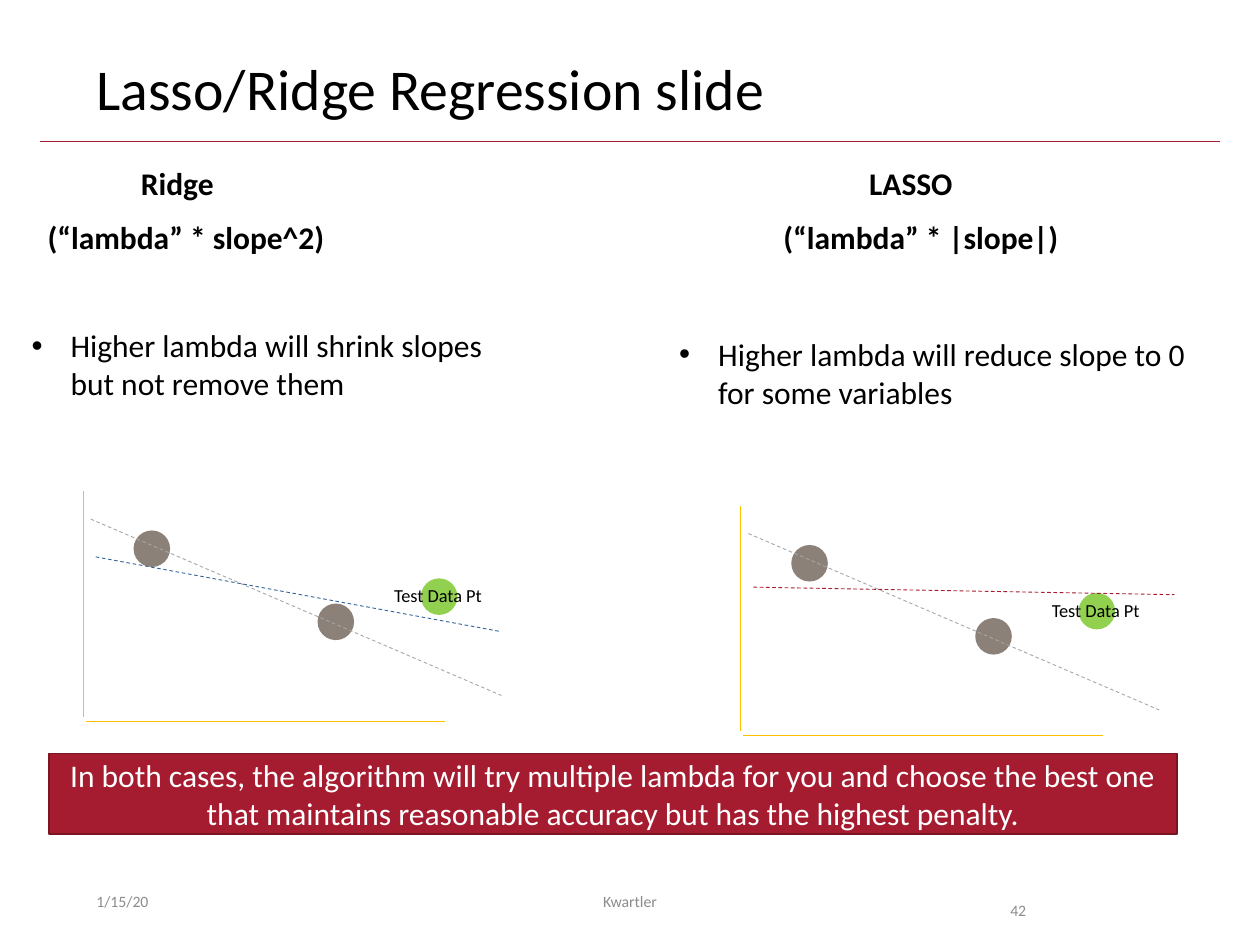
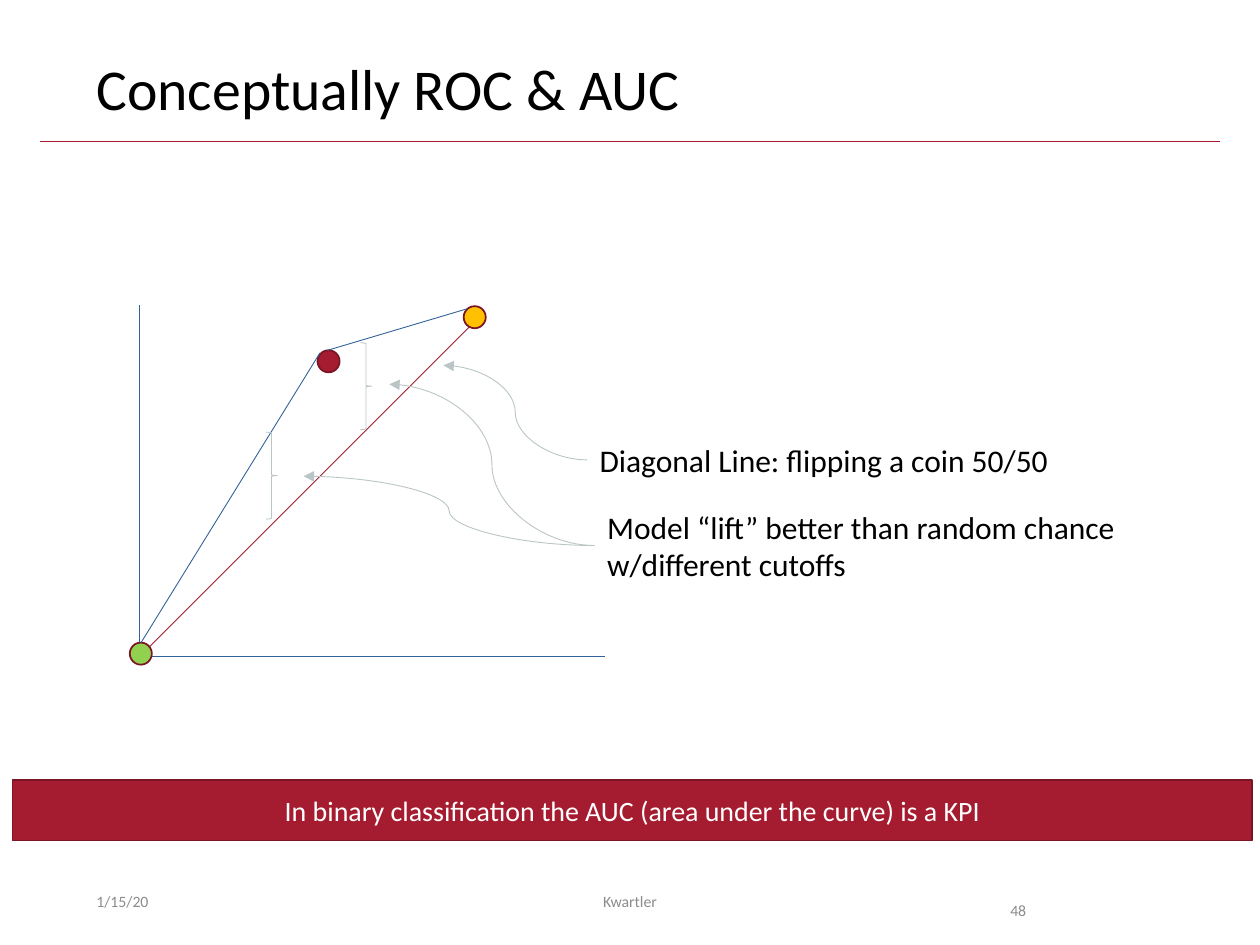
import dataclasses

import pptx
import pptx.dml.color
import pptx.enum.dml
import pptx.enum.shapes
import pptx.enum.text
import pptx.oxml.ns
import pptx.util
from lxml import etree


@dataclasses.dataclass(frozen=True)
class Theme:
    font: str = "Calibri"
    ink: str = "000000"
    paper: str = "FFFFFF"
    footer: str = "8C8C8C"
    crimson: str = "A51C30"
    crimson_edge: str = "7A1524"
    blue: str = "33629A"
    gold: str = "FFC000"
    green: str = "92D050"
    taupe: str = "8C8179"
    gray: str = "A6A6A6"
    mist: str = "BAC5C6"
    title_size: float = 33
    body_size: float = 18
    kpi_size: float = 16
    label_size: float = 10.5
    footer_size: float = 9
    hairline: float = 0.5
    outline: float = 1


theme = Theme()
SHAPE = pptx.enum.shapes.MSO_SHAPE
STRAIGHT = pptx.enum.shapes.MSO_CONNECTOR.STRAIGHT
CURVE = pptx.enum.shapes.MSO_CONNECTOR.CURVE
ALIGN = pptx.enum.text.PP_ALIGN
ANCHOR = pptx.enum.text.MSO_ANCHOR

deck = pptx.Presentation()
deck.slide_width = pptx.util.Inches(10)
deck.slide_height = pptx.util.Inches(7.5)
COLUMN = deck.slide_width / 100
ROW = deck.slide_height / 75


def grid(*cells):
    """Turn alternating column and row numbers into slide lengths."""
    return [round(cell * (ROW if i % 2 else COLUMN)) for i, cell in enumerate(cells)]


def write(shape, text, size=theme.body_size, color=theme.ink, bold=False, align=ALIGN.LEFT,
          anchor=ANCHOR.TOP, wrap=True, spacing=1.0, inset=1.0, hanging=0):
    frame = shape.text_frame
    frame.text = text
    frame.auto_size = pptx.enum.text.MSO_AUTO_SIZE.NONE
    frame.word_wrap = wrap
    frame.vertical_anchor = anchor
    frame.margin_left, frame.margin_top = grid(inset, inset / 2)
    frame.margin_right, frame.margin_bottom = frame.margin_left, frame.margin_top
    paragraph = frame.paragraphs[0]
    paragraph.alignment = align
    paragraph.line_spacing = spacing
    paragraph.space_before = pptx.util.Pt(0)
    if hanging:
        indent = grid(hanging)[0]
        properties = paragraph._p.get_or_add_pPr()
        properties.set("marL", str(indent))
        properties.set("indent", str(-indent))
    font = paragraph.runs[0].font
    font.name, font.size, font.bold = theme.font, pptx.util.Pt(size), bold
    font.color.rgb = pptx.dml.color.RGBColor.from_string(color)


strokes = []  # connector, colour, dashed, arrowhead
solids = []   # shape, fill, outline, outline width

# Shared parts: title, rule, footer and closing band
TWO_CONTENT, TITLE_ONLY = deck.slide_layouts[3], deck.slide_layouts[5]
slides = []
for layout, heading, number, message, message_size, band_at in [
    (TWO_CONTENT, "Lasso/Ridge Regression slide", "42",
     "In both cases, the algorithm will try multiple lambda for you and choose the best one "
     "that maintains reasonable accuracy but has the highest penalty.",
     theme.body_size, (3.9, 59.8, 89.5, 6.4)),
    (TITLE_ONLY, "Conceptually ROC & AUC", "48",
     "In binary classification the AUC (area under the curve) is a KPI",
     theme.kpi_size, (1, 61.9, 98.4, 4.8)),
]:
    slide = deck.slides.add_slide(layout)
    slides.append(slide)
    rule = slide.shapes.add_connector(STRAIGHT, *grid(3.2, 11.2, 96.8, 11.2))
    strokes.append((rule, theme.crimson, False, False))
    title = slide.shapes.title
    title.left, title.top, title.width, title.height = grid(6.9, 4, 86.2, 6.5)
    write(title, heading, size=theme.title_size, anchor=ANCHOR.MIDDLE, spacing=0.9, inset=0.75)

    for note, left, width, form in [
        ("1/15/20", 6.9, 22.5, dict(anchor=ANCHOR.MIDDLE, inset=0.75)),
        ("Kwartler", 33.1, 33.8, dict(anchor=ANCHOR.MIDDLE, align=ALIGN.CENTER)),
        (number, 79.2, 9.4, dict(spacing=2.0)),
    ]:
        footer = slide.shapes.add_textbox(*grid(left, 69.5, width, 4))
        write(footer, note, size=theme.footer_size, color=theme.footer, **form)

    band = slide.shapes.add_shape(SHAPE.RECTANGLE, *grid(*band_at))
    solids.append((band, theme.crimson, theme.crimson_edge, theme.outline))
    write(band, message, size=message_size, color=theme.paper, align=ALIGN.CENTER,
          anchor=ANCHOR.MIDDLE)

regression, roc = slides

# Ridge and LASSO: headings, lists and sketches of the fitted lines
effects = list(regression.placeholders)[1:]
for effect, (name, name_at, penalty, penalty_at, claim, claim_at, dx, dy, model, model_color) in zip(effects, [
    ("Ridge", (10.2, 12.5, 7.8, 4), "(“lambda” * slope^2)", (2.8, 16.8, 24.2, 4),
     "Higher lambda will shrink slopes but not remove them", (1.5, 25.4, 40, 7.1),
     0, 0, (7.6, 44.2, 39.6, 50.1), theme.blue),
    ("LASSO", (68, 12.5, 8.7, 4), "(“lambda” * |slope|)", (61.2, 16.8, 24, 4),
     "Higher lambda will reduce slope to 0 for some variables", (52.9, 26.1, 42.9, 7.1),
     52.2, 1.15, (59.8, 46.6, 93.2, 47.2), theme.crimson),
]):
    for wording, place in [(name, name_at), (penalty, penalty_at)]:
        write(regression.shapes.add_textbox(*grid(*place)), wording, bold=True, wrap=False)
    effect.left, effect.top, effect.width, effect.height = grid(*claim_at)
    write(effect, claim, hanging=3.1)

    sketch = regression.shapes.add_group_shape().shapes
    for x1, y1, x2, y2 in [(6.6, 39, 6.6, 56.9), (6.8, 57.25, 35.3, 57.25)]:
        axis = sketch.add_connector(STRAIGHT, *grid(x1 + dx, y1 + dy, x2 + dx, y2 + dy))
        strokes.append((axis, theme.gold, False, False))
    for x, y in [(10.6, 42.1), (25.2, 47.9)]:
        training_point = sketch.add_shape(SHAPE.OVAL, *grid(x + dx, y + dy, 2.9, 2.9))
        solids.append((training_point, theme.taupe, None, 0))
    plain_fit = sketch.add_connector(STRAIGHT, *grid(7.2 + dx, 41.2 + dy, 39.8 + dx, 55.2 + dy))
    strokes.append((plain_fit, theme.gray, True, False))
    test_point = sketch.add_shape(SHAPE.OVAL, *grid(33.4 + dx, 45.9 + dy, 2.9, 2.9))
    solids.append((test_point, theme.green, None, 0))
    test_label = sketch.add_textbox(*grid(30.3 + dx, 45.9 + dy, 9.3, 2.8))
    write(test_label, "Test Data Pt", size=theme.label_size, wrap=False)
    penalized_fit = sketch.add_connector(STRAIGHT, *grid(*model))
    strokes.append((penalized_fit, model_color, True, False))

# ROC curve: axes and coin-flip diagonal, cutoff points, then the model's segments
curve_plot = roc.shapes.add_group_shape().shapes
for ends, color in [
    ((11.1, 24.2, 11.1, 51.8), theme.blue),
    ((10.9, 52.1, 48, 52.1), theme.blue),
    ((11.1, 52.1, 37.6, 25.6), theme.crimson),
]:
    strokes.append((curve_plot.add_connector(STRAIGHT, *grid(*ends)), color, False, False))
for x, y, color in [(25.2, 27.8, theme.crimson), (10.3, 51, theme.green), (36.8, 24.3, theme.gold)]:
    cutoff = curve_plot.add_shape(SHAPE.OVAL, *grid(x, y, 1.75, 1.75))
    solids.append((cutoff, color, theme.crimson_edge, theme.outline))
for ends in [(11.2, 51, 25.4, 28), (26, 27.8, 37.1, 24.5)]:
    strokes.append((curve_plot.add_connector(STRAIGHT, *grid(*ends)), theme.blue, False, False))

# ROC explanations, lift braces and pointers
for wording, place, wrap in [
    ("Diagonal Line: flipping a coin 50/50", (46.6, 34.5, 38.1, 4), False),
    ("Model “lift” better than random chance w/different cutoffs", (47.2, 39.8, 47.5, 7.1), True),
]:
    write(roc.shapes.add_textbox(*grid(*place)), wording, wrap=wrap)
for x, y in [(28.6, 27.2), (21.1, 34.3)]:
    lift = roc.shapes.add_shape(SHAPE.RIGHT_BRACE, *grid(x, y, 0.9, 6.9))
    solids.append((lift, None, theme.mist, theme.hairline))
for ends in [(46.6, 36.5, 35.2, 29), (47.2, 43.3, 30.9, 30.5), (47.2, 43.3, 24.1, 37.8)]:
    strokes.append((roc.shapes.add_connector(CURVE, *grid(*ends)), theme.mist, False, True))

# Finish every line
for stroke, color, dashed, arrow in strokes:
    stroke.line.color.rgb = pptx.dml.color.RGBColor.from_string(color)
    stroke.line.width = pptx.util.Pt(theme.hairline)
    if dashed:
        stroke.line.dash_style = pptx.enum.dml.MSO_LINE.DASH
    if arrow:
        head = etree.SubElement(stroke.line._get_or_add_ln(), pptx.oxml.ns.qn("a:tailEnd"))
        head.set("type", "triangle")
    etree.SubElement(stroke._element.spPr, pptx.oxml.ns.qn("a:effectLst"))

# Finish every filled or outlined shape
for solid, fill, outline, width in solids:
    solid.shadow.inherit = False
    for paint, color in [(solid.fill, fill), (solid.line.fill, outline)]:
        if color is None:
            paint.background()
        else:
            paint.solid()
            paint.fore_color.rgb = pptx.dml.color.RGBColor.from_string(color)
    if outline:
        solid.line.width = pptx.util.Pt(width)

deck.save("out.pptx")
